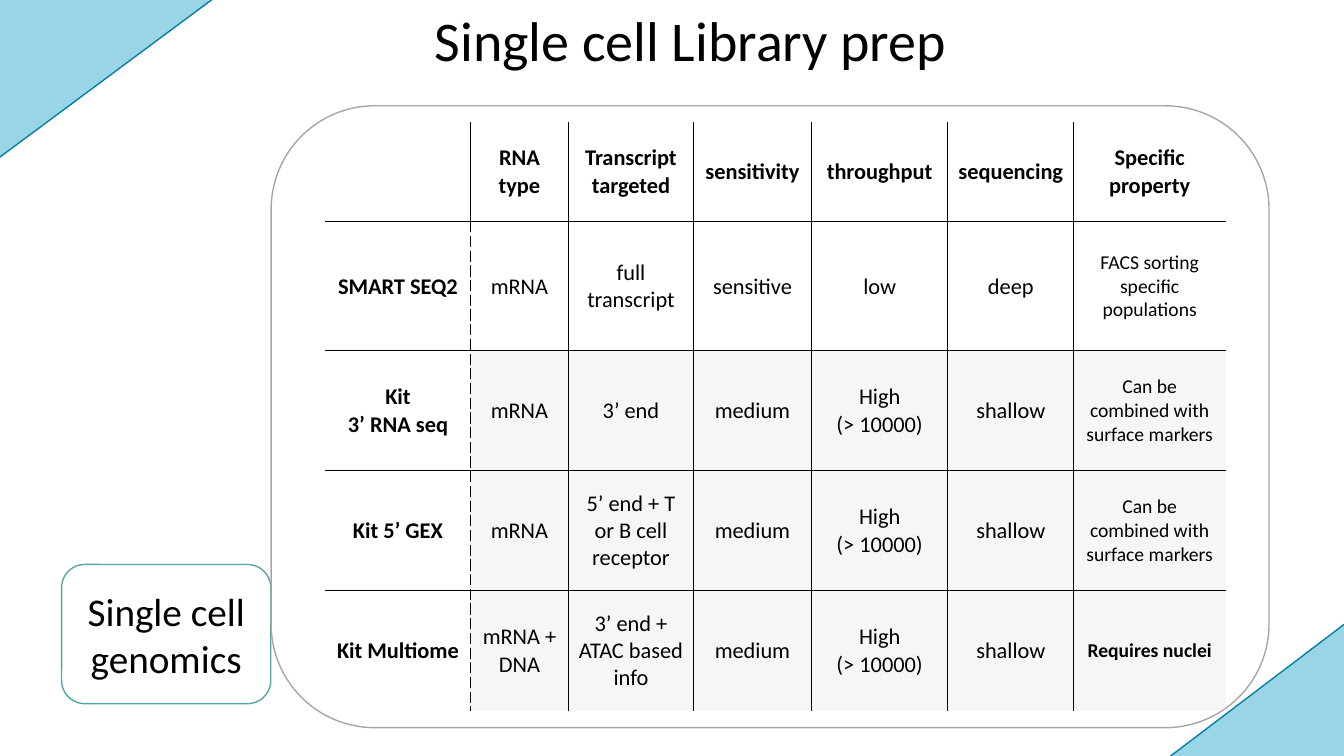
"""Build the slide that compares single cell library preparations."""
import pptx
import pptx.dml.color
import pptx.enum.shapes
import pptx.enum.text
import pptx.oxml
import pptx.oxml.ns
import pptx.util

Pt = pptx.util.Pt
Shape = pptx.enum.shapes.MSO_SHAPE
Anchor = pptx.enum.text.MSO_ANCHOR

COLORS = {
    "text": "000000",
    "corner": "0098BF",
    "corner_edge": "037EA6",
    "topic_edge": "57A6A6",
    "panel_edge": "A6A6A6",
    "shade": "D0CECE",
}
FONT = "Calibri"
COLUMN_WIDTHS = [103.6, 70, 89.3, 84.3, 97.4, 90, 108.4]
ROW_HEIGHTS = [71.4, 92.1, 85.7, 85.7, 85.7]
METHODS = [
    ["", "RNA type", "Transcript targeted", "sensitivity", "throughput",
     "sequencing", "Specific property"],
    ["SMART SEQ2", "mRNA", "full transcript", "sensitive", "low", "deep",
     "FACS sorting specific populations"],
    ["Kit\n3’ RNA seq", "mRNA", "3’ end", "medium", "High\n(> 10000)", "shallow",
     "Can be combined with surface markers"],
    ["Kit 5’ GEX", "mRNA", "5’ end + T or B cell receptor", "medium",
     "High\n(> 10000)", "shallow", "Can be combined with surface markers"],
    ["Kit Multiome", "mRNA + DNA", "3’ end + ATAC based info", "medium",
     "High\n(> 10000)", "shallow", "Requires nuclei"],
]


class SlideBuilder:
    """Hold the style and the current slide."""

    def __init__(self, presentation):
        self.slide = presentation.slides.add_slide(presentation.slide_layouts[5])

    def color(self, name):
        return pptx.dml.color.RGBColor.from_string(COLORS[name])

    def set_text(self, frame, text, size, bold=False, anchor=Anchor.MIDDLE):
        frame.text = text
        frame.word_wrap = True
        frame.vertical_anchor = anchor
        for paragraph in frame.paragraphs:
            paragraph.alignment = pptx.enum.text.PP_ALIGN.CENTER
            paragraph.font.size = Pt(size)
            for run in paragraph.runs:
                run.font.name = FONT
                run.font.size = Pt(size)
                run.font.bold = bold
                run.font.color.rgb = self.color("text")

    def tint(self, fill, element, name, opacity):
        fill.solid()
        fill.fore_color.rgb = self.color(name)
        tone = element.xpath(".//a:solidFill/a:srgbClr[@val='%s']" % COLORS[name])[0]
        alpha = pptx.oxml.parse_xml(
            '<a:alpha %s val="%d"/>' % (pptx.oxml.ns.nsdecls("a"), opacity * 1000))
        tone.append(alpha)

    def title(self, text, left, top, width, height):
        heading = self.slide.shapes.title
        heading.left, heading.top = Pt(left), Pt(top)
        heading.width, heading.height = Pt(width), Pt(height)
        self.set_text(heading.text_frame, text, 40, anchor=Anchor.TOP)
        heading.text_frame.auto_size = pptx.enum.text.MSO_AUTO_SIZE.NONE

    def outline(self, kind, left, top, width, height, edge):
        shape = self.slide.shapes.add_shape(
            kind, Pt(left), Pt(top), Pt(width), Pt(height))
        shape.shadow.inherit = False
        shape.fill.background()
        shape.line.color.rgb = self.color(edge)
        shape.line.width = Pt(1)
        return shape

    def corner(self, left, top, width, height, rotation):
        triangle = self.outline(
            Shape.ISOSCELES_TRIANGLE, left, top, width, height, "corner_edge")
        triangle.adjustments[0] = 0
        triangle.rotation = rotation
        self.tint(triangle.fill, triangle.element, "corner", 40)

    def border(self, cell, side, dash):
        if dash:
            paint = ('<a:solidFill><a:srgbClr val="%s"/></a:solidFill>'
                     '<a:prstDash val="%s"/>' % (COLORS["text"], dash))
        else:
            paint = "<a:noFill/>"
        line = pptx.oxml.parse_xml('<a:ln%s %s w="12700">%s</a:ln%s>' % (
            side, pptx.oxml.ns.nsdecls("a"), paint, side))
        cell._tc.get_or_add_tcPr().append(line)

    def table(self, rows, left, top):
        last_row, last_column = len(rows) - 1, len(rows[0]) - 1
        grid = self.slide.shapes.add_table(
            len(rows), len(rows[0]), Pt(left), Pt(top),
            Pt(sum(COLUMN_WIDTHS)), Pt(sum(ROW_HEIGHTS))).table
        grid.first_row = grid.horz_banding = False
        for column, width in zip(grid.columns, COLUMN_WIDTHS):
            column.width = Pt(width)
        for row, height in zip(grid.rows, ROW_HEIGHTS):
            row.height = Pt(height)
        for r, texts in enumerate(rows):
            stub_dash = "sysDash" if r else "solid"
            for c, text in enumerate(texts):
                cell = grid.cell(r, c)
                is_property = r > 0 and c == last_column
                is_bold = r == 0 or c == 0 or (r == last_row and is_property)
                self.set_text(cell.text_frame, text, 14 if is_property else 16, is_bold)
                cell.vertical_anchor = Anchor.MIDDLE
                self.border(cell, "L", c and (stub_dash if c == 1 else "solid"))
                self.border(cell, "R",
                            c < last_column and (stub_dash if c == 0 else "solid"))
                self.border(cell, "T", r and "solid")
                self.border(cell, "B", r < last_row and "solid")
                if r > 1 and c > 0:
                    self.tint(cell.fill, cell._tc.tcPr, "shade", 18)
                else:
                    cell.fill.background()


def main():
    presentation = pptx.Presentation()
    presentation.slide_width, presentation.slide_height = Pt(960), Pt(540)
    builder = SlideBuilder(presentation)
    builder.title("Single cell Library prep", 154.8, 0, 676.8, 55.4)
    builder.corner(848.2, 427.7, 99.4, 131, 270)
    builder.corner(18, -23, 116.6, 157, 90)
    topic = builder.outline(
        Shape.ROUNDED_RECTANGLE, 44, 403.2, 149.4, 99.4, "topic_edge")
    builder.set_text(topic.text_frame, "Single cell genomics", 28)
    builder.outline(Shape.ROUNDED_RECTANGLE, 193.7, 75.6, 712.8, 444.2, "panel_edge")
    builder.table(METHODS, 232.5, 87.1)
    presentation.save("out.pptx")


if __name__ == "__main__":
    main()
